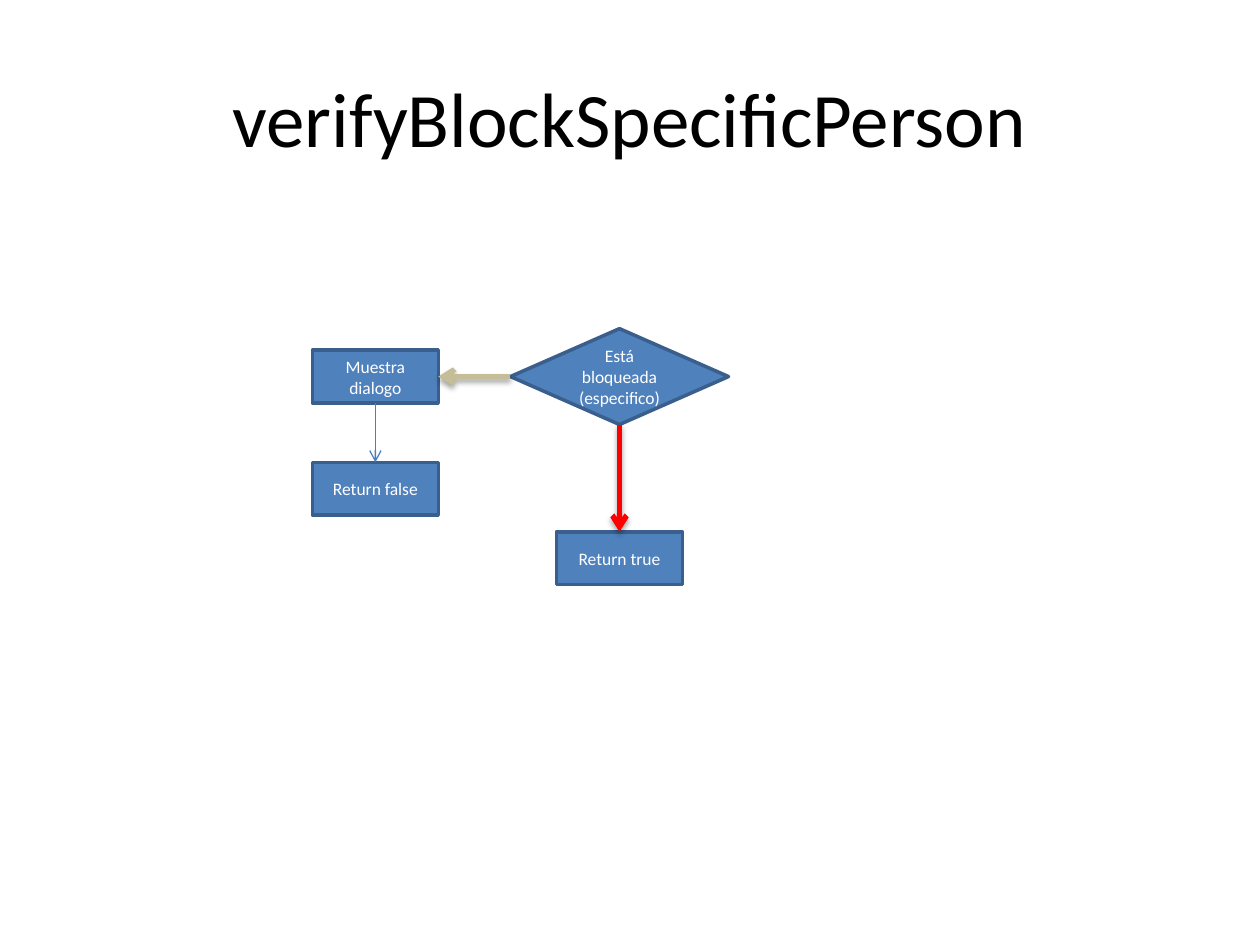
from lxml.etree import SubElement
from pptx import Presentation
from pptx.dml.color import RGBColor
from pptx.enum.shapes import MSO_CONNECTOR, MSO_SHAPE
from pptx.enum.text import MSO_ANCHOR, PP_ALIGN
from pptx.oxml.ns import qn
from pptx.util import Pt

COLORS = {
    "title": "000000",
    "fill": "4F81BD",
    "border": "3A5F8C",
    "label": "FFFFFF",
    "blocked": "C4BD97",
    "allowed": "FF0000",
    "next": "4B7EBC",
    "shadow": "000000",
}


def color(name):
    return RGBColor.from_string(COLORS[name])


def write_lines(box, lines, size, color_name):
    frame = box.text_frame
    frame.word_wrap = True
    frame.vertical_anchor = MSO_ANCHOR.MIDDLE
    for index, line in enumerate(lines):
        para = frame.add_paragraph() if index else frame.paragraphs[0]
        para.alignment = PP_ALIGN.CENTER
        span = para.add_run()
        span.text = line
        span.font.name = "Calibri"
        span.font.size = Pt(size)
        span.font.color.rgb = color(color_name)


deck = Presentation()
deck.slide_width = Pt(720)
deck.slide_height = Pt(540)
page = deck.slides.add_slide(deck.slide_layouts[6])

title = page.shapes.add_textbox(Pt(36), Pt(21.6), Pt(648), Pt(90))
write_lines(title, ["verifyBlockSpecificPerson"], 44, "title")

decision_x, dialog_x = 354, 214.5
decision_y = 215.2
step_size = (72, 30.2)
nodes = [
    ("decision", MSO_SHAPE.FLOWCHART_DECISION, decision_x, decision_y, (124.6, 54.8),
     ["Está bloqueada", "(especifico)"]),
    ("dialog", MSO_SHAPE.RECTANGLE, dialog_x, decision_y, step_size, ["Muestra dialogo"]),
    ("true", MSO_SHAPE.RECTANGLE, decision_x, 319, step_size, ["Return true"]),
    ("false", MSO_SHAPE.RECTANGLE, dialog_x, 279.3, step_size, ["Return false"]),
]
boxes = {}
for name, kind, center_x, center_y, (width, height), lines in nodes:
    box = page.shapes.add_shape(
        kind, Pt(center_x - width / 2), Pt(center_y - height / 2), Pt(width), Pt(height))
    box.shadow.inherit = False
    box.fill.solid()
    box.fill.fore_color.rgb = color("fill")
    box.line.color.rgb = color("border")
    box.line.width = Pt(2)
    write_lines(box, lines, 10, "label")
    boxes[name] = box

TOP, LEFT, BOTTOM, RIGHT = range(4)
arrows = [
    ("decision", LEFT, "dialog", RIGHT, "blocked", 3, True),
    ("decision", BOTTOM, "true", TOP, "allowed", 3, True),
    ("dialog", BOTTOM, "false", TOP, "next", 0.75, False),
]
for start, start_side, end, end_side, color_name, weight, shaded in arrows:
    arrow = page.shapes.add_connector(MSO_CONNECTOR.STRAIGHT, 0, 0, 0, 0)
    arrow.begin_connect(boxes[start], start_side)
    arrow.end_connect(boxes[end], end_side)
    arrow.line.color.rgb = color(color_name)
    arrow.line.width = Pt(weight)
    SubElement(arrow.line._get_or_add_ln(), qn("a:tailEnd"), type="arrow")
    effects = SubElement(arrow._element.spPr, qn("a:effectLst"))
    if shaded:
        shadow = SubElement(effects, qn("a:outerShdw"), blurRad=str(Pt(3.1)),
                            dist=str(Pt(1.8)), dir="5400000", rotWithShape="0")
        tone = SubElement(shadow, qn("a:srgbClr"), val=COLORS["shadow"])
        SubElement(tone, qn("a:alpha"), val="35000")

deck.save("out.pptx")
